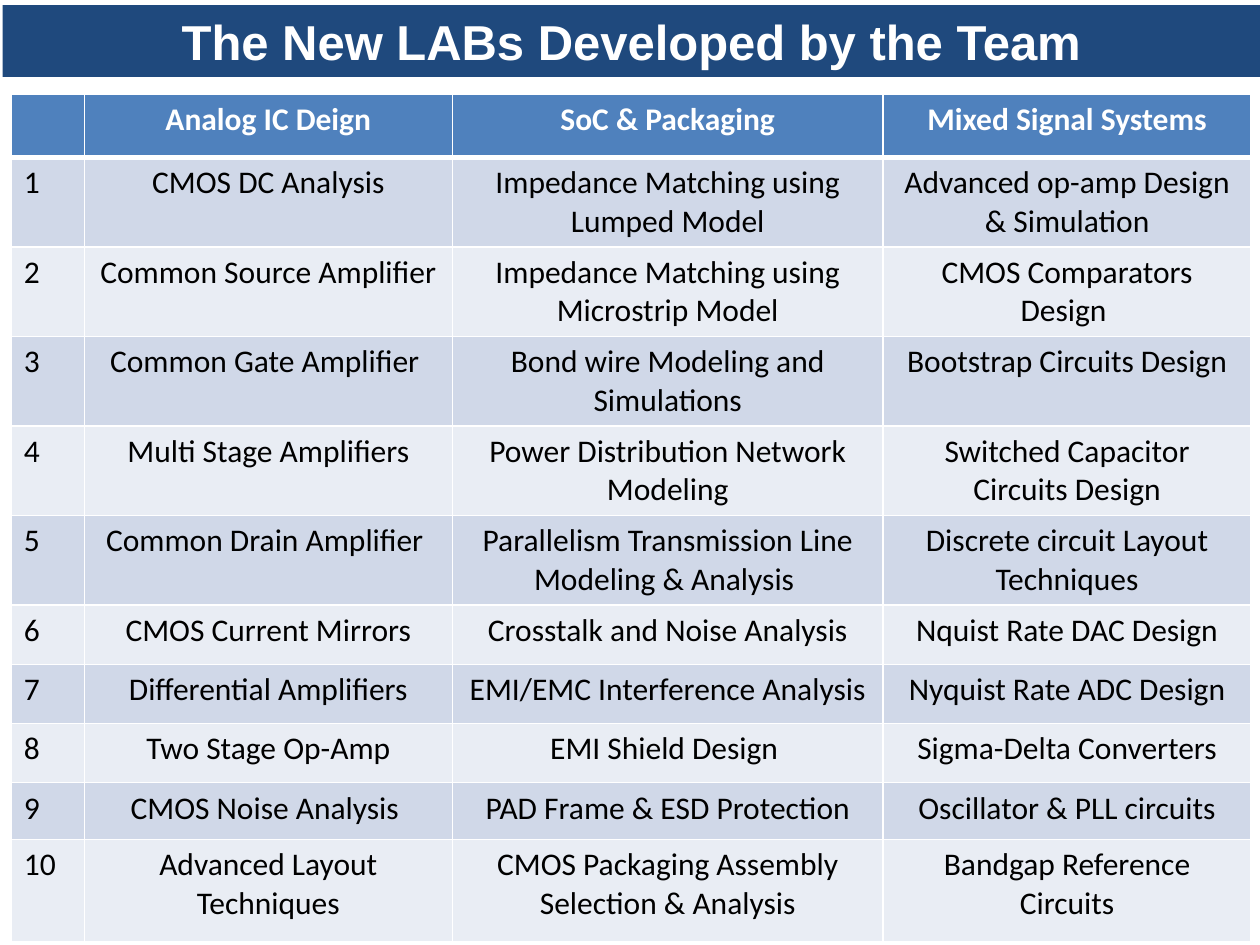
from pptx import Presentation
from pptx.dml.color import RGBColor
from pptx.enum.text import MSO_ANCHOR, MSO_AUTO_SIZE, PP_ALIGN
from pptx.oxml import parse_xml
from pptx.oxml.ns import nsdecls
from pptx.util import Inches, Pt


def rgb(color):
    return RGBColor.from_string(color)


def write(frame, text, size=18, font="Calibri", color="000000", bold=False,
          align=PP_ALIGN.CENTER):
    paragraph = frame.paragraphs[0]
    paragraph.alignment = align
    run = paragraph.add_run()
    run.text = text
    run.font.size = Pt(size)
    run.font.name = font
    run.font.bold = bold
    run.font.color.rgb = rgb(color)


HEADINGS = ["", "Analog IC Deign", "SoC & Packaging", "Mixed Signal Systems"]
LABS = [
    ("CMOS DC Analysis", "Impedance Matching using Lumped Model",
     "Advanced op-amp Design & Simulation"),
    ("Common Source Amplifier", "Impedance Matching using Microstrip Model",
     "CMOS Comparators Design "),
    ("Common Gate Amplifier ", "Bond wire Modeling and Simulations",
     "Bootstrap Circuits Design"),
    ("Multi Stage Amplifiers", "Power Distribution Network Modeling",
     "Switched Capacitor Circuits Design"),
    ("Common Drain Amplifier ", "Parallelism Transmission Line Modeling & Analysis ",
     "Discrete circuit Layout Techniques"),
    ("CMOS Current Mirrors", "Crosstalk and Noise Analysis", "Nquist Rate DAC Design"),
    ("Differential Amplifiers", "EMI/EMC Interference Analysis", "Nyquist Rate ADC Design"),
    ("Two Stage Op-Amp", "EMI Shield Design ", "Sigma-Delta Converters"),
    ("CMOS Noise Analysis ", "PAD Frame & ESD Protection", "Oscillator & PLL circuits"),
    ("Advanced Layout Techniques", "CMOS Packaging Assembly Selection & Analysis",
     "Bandgap Reference Circuits"),
]
COLUMN_WIDTHS = [0.58, 2.92, 3.42, 2.92]
ROW_HEIGHTS = [0.5] + [0.7] * 5 + [0.47] * 3 + [0.45, 0.81]

prs = Presentation()
prs.slide_width, prs.slide_height = Inches(10), Inches(7.5)
slide = prs.slides.add_slide(prs.slide_layouts[5])

# Title banner
banner = slide.shapes.title
banner.left, banner.top = Inches(0.02), Inches(0.04)
banner.width, banner.height = Inches(9.98), Inches(0.57)
banner.fill.solid()
banner.fill.fore_color.rgb = rgb("1F497D")
banner.text_frame.auto_size = MSO_AUTO_SIZE.NONE
banner.text_frame.vertical_anchor = MSO_ANCHOR.MIDDLE
write(banner.text_frame, "The New LABs Developed by the Team",
      size=28, font="Arial", color="FFFFFF", bold=True)

# Table of labs
rows = [HEADINGS] + [(str(number), *labs) for number, labs in enumerate(LABS, 1)]
lab_table = slide.shapes.add_table(
    len(rows), len(HEADINGS), Inches(0.09), Inches(0.75),
    Inches(sum(COLUMN_WIDTHS)), Inches(sum(ROW_HEIGHTS))).table
lab_table.horz_banding = False
for column, width in zip(lab_table.columns, COLUMN_WIDTHS):
    column.width = Inches(width)

for r, texts in enumerate(rows):
    lab_table.rows[r].height = Inches(ROW_HEIGHTS[r])
    header = r == 0
    fill = "4F81BD" if header else ("E9EDF4", "D0D8E8")[r % 2]
    for c, text in enumerate(texts):
        cell = lab_table.cell(r, c)
        # White borders, heavier between the header and the body
        for side in ("lnL", "lnR", "lnT", "lnB"):
            heavy = (r, side) in ((0, "lnB"), (1, "lnT"))
            cell._tc.get_or_add_tcPr().append(parse_xml(
                f'<a:{side} {nsdecls("a")} w="{Pt(3 if heavy else 1)}">'
                f'<a:solidFill><a:srgbClr val="FFFFFF"/></a:solidFill></a:{side}>'))
        cell.fill.solid()
        cell.fill.fore_color.rgb = rgb(fill)
        if text:
            write(cell.text_frame, text, bold=header,
                  color="FFFFFF" if header else "000000",
                  align=PP_ALIGN.CENTER if c else PP_ALIGN.LEFT)

prs.save("out.pptx")
